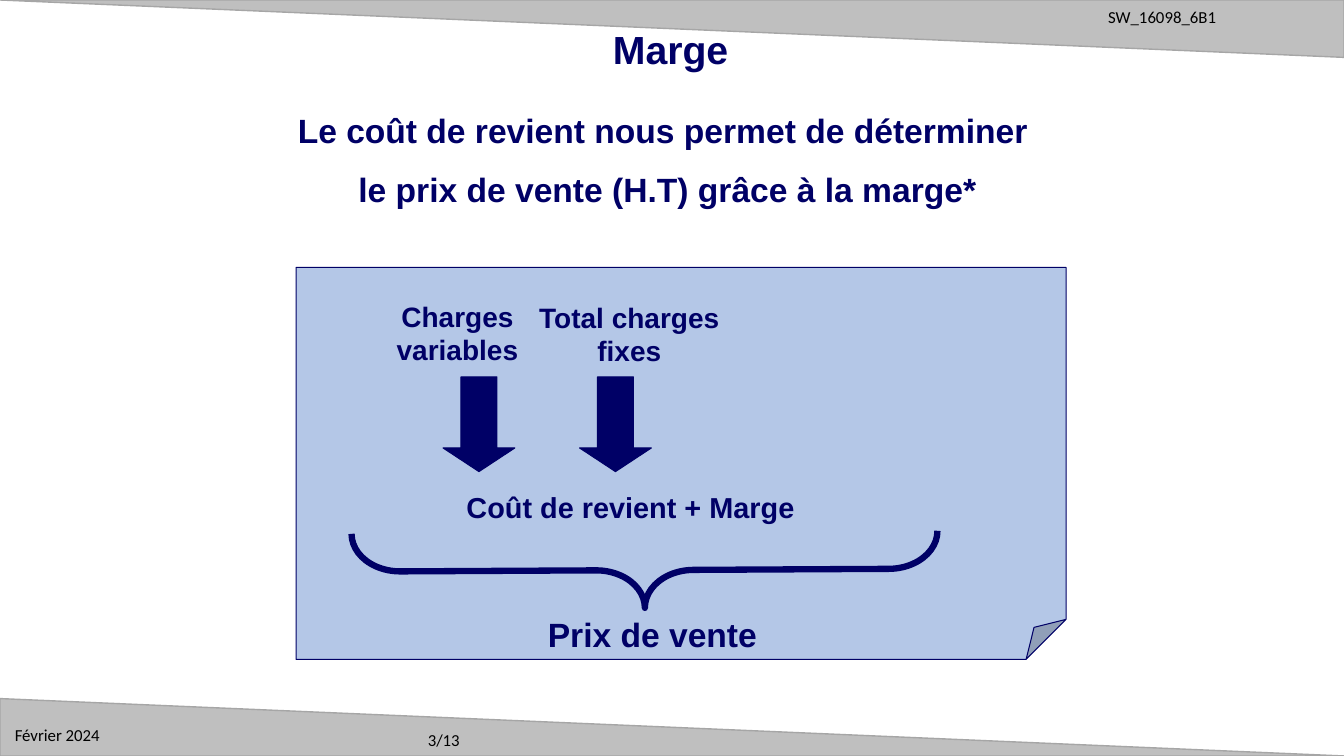
import lxml.etree
import pptx
import pptx.util
import pptx.dml.color
import pptx.enum.shapes
import pptx.enum.text
import pptx.oxml.ns

Pt = pptx.util.Pt
RGBColor = pptx.dml.color.RGBColor
SHAPE = pptx.enum.shapes.MSO_SHAPE
ALIGN = pptx.enum.text.PP_ALIGN

NAVY = RGBColor(0x00, 0x00, 0x66)
PALE_BLUE = RGBColor(0xB4, 0xC7, 0xE7)
GREY = RGBColor(0xBF, 0xBF, 0xBF)
DARK_GREY = RGBColor(0xA6, 0xA6, 0xA6)
BLACK = RGBColor(0x00, 0x00, 0x00)

WIDTH, HEIGHT = 960, 540
WEDGE_HEIGHT = 41
STATEMENT_GAP = 13

TITLE = "Marge"
TITLE_FRAME = (430, 18, 98, 38)
MARGIN_NOTES = [
    ("3/13", (298.5, 517.5, 80, 21.6)),
    ("SW_16098_6B1", (784.5, 1.5, 172, 21.6)),
    ("Février 2024", (3.5, 514.2, 100, 21.6)),
]
HEADINGS = [
    (["Le coût de revient nous permet de déterminer ",
      "le prix de vente (H.T) grâce à la marge*"], 24, (9.5, 75, 934.5, 80)),
    (["Charges", "variables"], 20, (252.5, 210.2, 148.5, 55.5)),
    (["Total charges fixes"], 20, (367, 211, 165, 55.5)),
    (["Coût de revient + Marge"], 20.6, (183, 346.5, 535, 32.5)),
    (["Prix de vente"], 24, (206.5, 435, 519, 36)),
]
NOTE_FRAME = (211.5, 191, 550, 280)
BRACE_FRAME = (433.5, 198, 54, 418.5)
ARROW_LEFTS = [316.5, 414]
ARROW_TOP, ARROW_WIDTH, ARROW_HEIGHT = 269.2, 51.3, 67.7


def points(frame):
    return [Pt(length) for length in frame]


def set_adjustments(shape, adjustments):
    qn = pptx.oxml.ns.qn
    guides = shape._element.spPr.find(qn("a:prstGeom")).find(qn("a:avLst"))
    for guide in list(guides):
        guides.remove(guide)
    for name, value in adjustments.items():
        guide = lxml.etree.SubElement(guides, qn("a:gd"))
        guide.set("name", name)
        guide.set("fmla", f"val {round(value * 100000)}")


def add_shape(page, kind, frame, adjustments, fill, line, weight, rotation=0):
    shape = page.shapes.add_shape(kind, *points(frame))
    set_adjustments(shape, adjustments)
    shape.rotation = rotation
    shape.shadow.inherit = False
    if fill is None:
        shape.fill.background()
    else:
        shape.fill.solid()
        shape.fill.fore_color.rgb = fill
    shape.line.color.rgb = line
    shape.line.width = Pt(weight)


def add_span(para, text, size, font, color, bold):
    span = para.add_run()
    span.text = text
    span.font.size = Pt(size)
    span.font.name = font
    span.font.color.rgb = color
    span.font.bold = bold


def add_text(page, lines, size, frame, font="Arial", color=NAVY, bold=True,
             align=ALIGN.CENTER, gap=0):
    box = page.shapes.add_textbox(*points(frame))
    box.text_frame.word_wrap = True
    for index, line in enumerate(lines):
        para = box.text_frame.paragraphs[0] if index == 0 else box.text_frame.add_paragraph()
        para.alignment = align
        if index < len(lines) - 1:
            para.space_after = Pt(gap)
        add_span(para, line, size, font, color, bold)


def add_title(page):
    title = page.shapes.title
    title.left, title.top, title.width, title.height = points(TITLE_FRAME)
    frame = title.text_frame
    frame.word_wrap = False
    frame.auto_size = pptx.enum.text.MSO_AUTO_SIZE.NONE
    frame.vertical_anchor = pptx.enum.text.MSO_ANCHOR.MIDDLE
    para = frame.paragraphs[0]
    para.alignment = ALIGN.CENTER
    para.line_spacing = 0.9
    add_span(para, TITLE, 28, "Arial", NAVY, True)


def main():
    deck = pptx.Presentation()
    deck.slide_width, deck.slide_height = Pt(WIDTH), Pt(HEIGHT)
    page = deck.slides.add_slide(deck.slide_layouts[5])

    for top, rotation in [(0, 180), (HEIGHT - WEDGE_HEIGHT, 0)]:
        add_shape(page, SHAPE.ISOSCELES_TRIANGLE, (0, top, WIDTH, WEDGE_HEIGHT),
                  {"adj": 0}, GREY, DARK_GREY, 1, rotation)
    for text, frame in MARGIN_NOTES:
        add_text(page, [text], 12, frame, "Calibri", BLACK, False, ALIGN.LEFT)
    add_title(page)

    add_shape(page, SHAPE.FOLDED_CORNER, NOTE_FRAME, {"adj": 0.102}, PALE_BLUE, NAVY, 0.75)
    add_shape(page, SHAPE.RIGHT_BRACE, BRACE_FRAME, {"adj1": 0.645, "adj2": 0.5},
              None, NAVY, 4.5, 89.7)
    for left in ARROW_LEFTS:
        add_shape(page, SHAPE.DOWN_ARROW, (left, ARROW_TOP, ARROW_WIDTH, ARROW_HEIGHT),
                  {"adj1": 0.5, "adj2": 0.329}, NAVY, NAVY, 0.75)
    for index, (lines, size, frame) in enumerate(HEADINGS):
        add_text(page, lines, size, frame, gap=STATEMENT_GAP if index == 0 else 0)

    deck.save("out.pptx")


if __name__ == "__main__":
    main()
